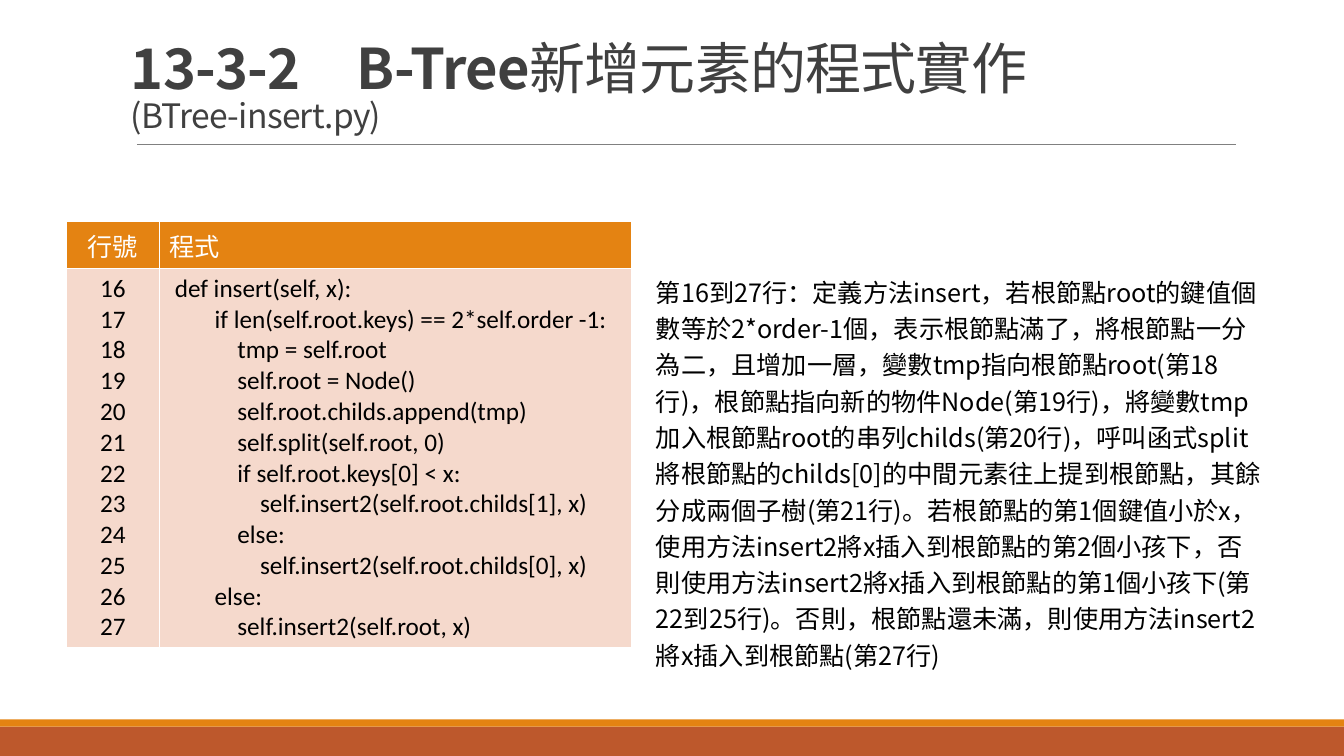
from lxml import etree
from pptx import Presentation
from pptx import util as u
from pptx.dml.color import RGBColor
from pptx.enum import shapes, text
from pptx.oxml.ns import qn

COLORS = {
    "rust": "BD582C", "orange": "E48312", "rule": "808080", "cell": "F5D9CC",
    "white": "FFFFFF", "black": "000000", "title": "404040",
}
SANS, BODY = "Noto Sans CJK SC", "Calibri"

TITLE = [
    ("13-3-2　B-Tree", 40, True),
    ("新增元素的程式實作", 40, False),
    ("\n", 40, False),
    ("(BTree-insert.py)", 24, False),
]
HEADER = ("行號", "程式")
FIRST_LINE = 16
CODE = [
    " def insert(self, x):",
    "        if len(self.root.keys) == 2*self.order -1:",
    "            tmp = self.root",
    "            self.root = Node()",
    "            self.root.childs.append(tmp)",
    "            self.split(self.root, 0)",
    "            if self.root.keys[0] < x:",
    "                self.insert2(self.root.childs[1], x)",
    "            else:",
    "                self.insert2(self.root.childs[0], x)",
    "        else:",
    "            self.insert2(self.root, x)",
]
EXPLANATION = (
    "第16到27行：定義方法insert，若根節點root的鍵值個數等於2*order-1個，"
    "表示根節點滿了，將根節點一分為二，且增加一層，變數tmp指向根節點root(第18行)，"
    "根節點指向新的物件Node(第19行)，將變數tmp加入根節點root的串列childs(第20行)，"
    "呼叫函式split將根節點的childs[0]的中間元素往上提到根節點，其餘分成兩個子樹(第21行)。"
    "若根節點的第1個鍵值小於x，使用方法insert2將x插入到根節點的第2個小孩下，"
    "否則使用方法insert2將x插入到根節點的第1個小孩下(第22到25行)。"
    "否則，根節點還未滿，則使用方法insert2將x插入到根節點(第27行)"
)
WIDTH, HEIGHT = 33.87, 19.05
BANDS = [("rust", 18.31, 0.74), ("orange", 18.13, 0.18)]
COLUMNS, ROWS = (2.33, 11.9), (1.04, 9.4)


def rgb(name):
    return RGBColor.from_string(COLORS[name])


def set_font(font, color, **values):
    for key, value in values.items():
        setattr(font, key, value)
    font.color.rgb = rgb(color)


def set_east_asian(r, name):
    """Use the named typeface for the Chinese characters of a run too."""
    r.font.name = name
    latin = r._r.rPr.find(qn("a:latin"))
    ea = etree.Element(qn("a:ea"), typeface=name)
    latin.addnext(ea)


def add_textbox(s, left, top, width, height, **values):
    tf = s.shapes.add_textbox(*map(u.Cm, (left, top, width, height))).text_frame
    for key, value in {"word_wrap": True, **values}.items():
        setattr(tf, key, value)
    return tf.paragraphs[0]


def add_borders(cell, color, width):
    tcPr = cell._tc.get_or_add_tcPr()
    for side in ("lnL", "lnR", "lnT", "lnB"):
        ln = etree.SubElement(tcPr, qn(f"a:{side}"), w=str(u.Pt(width)))
        fill = etree.SubElement(ln, qn("a:solidFill"))
        etree.SubElement(fill, qn("a:srgbClr"), val=COLORS[color])


def add_frame(s):
    for color, top, height in BANDS:
        sp = s.shapes.add_shape(shapes.MSO_SHAPE.RECTANGLE, 0, u.Cm(top),
                                u.Cm(WIDTH), u.Cm(height))
        sp.shadow.inherit = False
        sp.fill.solid()
        sp.fill.fore_color.rgb = rgb(color)
        sp.line.fill.background()
    rule = s.shapes.add_connector(shapes.MSO_CONNECTOR.STRAIGHT, u.Cm(3.45),
                                  u.Cm(3.63), u.Cm(31.14), u.Cm(3.63))
    rule.line.color.rgb = rgb("rule")
    rule.line.width = u.Pt(0.5)
    etree.SubElement(rule._element.spPr, qn("a:effectLst"))


def add_title(s):
    p = add_textbox(s, 3.05, 0.79, 27.94, 2.74,
                    vertical_anchor=text.MSO_ANCHOR.BOTTOM)
    p.line_spacing = 0.85
    for words, size, bold in TITLE:
        if words == "\n":
            p.add_line_break()
            continue
        r = p.add_run()
        r.text = words
        set_font(r.font, "title", size=u.Pt(size), bold=bold)
        set_east_asian(r, SANS)
        r._r.rPr.set("spc", "-50")


def add_code_table(s):
    numbers = range(FIRST_LINE, FIRST_LINE + len(CODE))
    content = [HEADER, ("\n".join(map(str, numbers)), "\n".join(CODE))]
    styles = [("orange", "white"), ("cell", "black")]
    table = s.shapes.add_table(2, 2, u.Cm(1.68), u.Cm(5.59), u.Cm(sum(COLUMNS)),
                               u.Cm(sum(ROWS))).table
    for column, width in zip(table.columns, COLUMNS):
        column.width = u.Cm(width)
    for row, height, words, (fill, color) in zip(table.rows, ROWS, content, styles):
        row.height = u.Cm(height)
        for i, cell in enumerate(row.cells):
            cell.text = words[i]
            add_borders(cell, "white", 1)
            cell.fill.solid()
            cell.fill.fore_color.rgb = rgb(fill)
            for p in cell.text_frame.paragraphs:
                p.alignment = text.PP_ALIGN.LEFT if i else text.PP_ALIGN.CENTER
                set_font(p.runs[0].font, color, size=u.Pt(18), bold=False, name=BODY)


def add_explanation(s):
    p = add_textbox(s, 16.28, 6.71, 15.9, 10.34,
                    auto_size=text.MSO_AUTO_SIZE.SHAPE_TO_FIT_TEXT)
    p.line_spacing, p.space_after = 1.2, u.Pt(3)
    r = p.add_run()
    r.text = EXPLANATION
    set_font(r.font, "black", size=u.Pt(18))
    set_east_asian(r, SANS)


def main():
    prs = Presentation()
    prs.slide_width, prs.slide_height = u.Cm(WIDTH), u.Cm(HEIGHT)
    s = prs.slides.add_slide(prs.slide_layouts[6])
    add_frame(s)
    add_code_table(s)
    add_explanation(s)
    add_title(s)
    prs.save("out.pptx")


if __name__ == "__main__":
    main()
